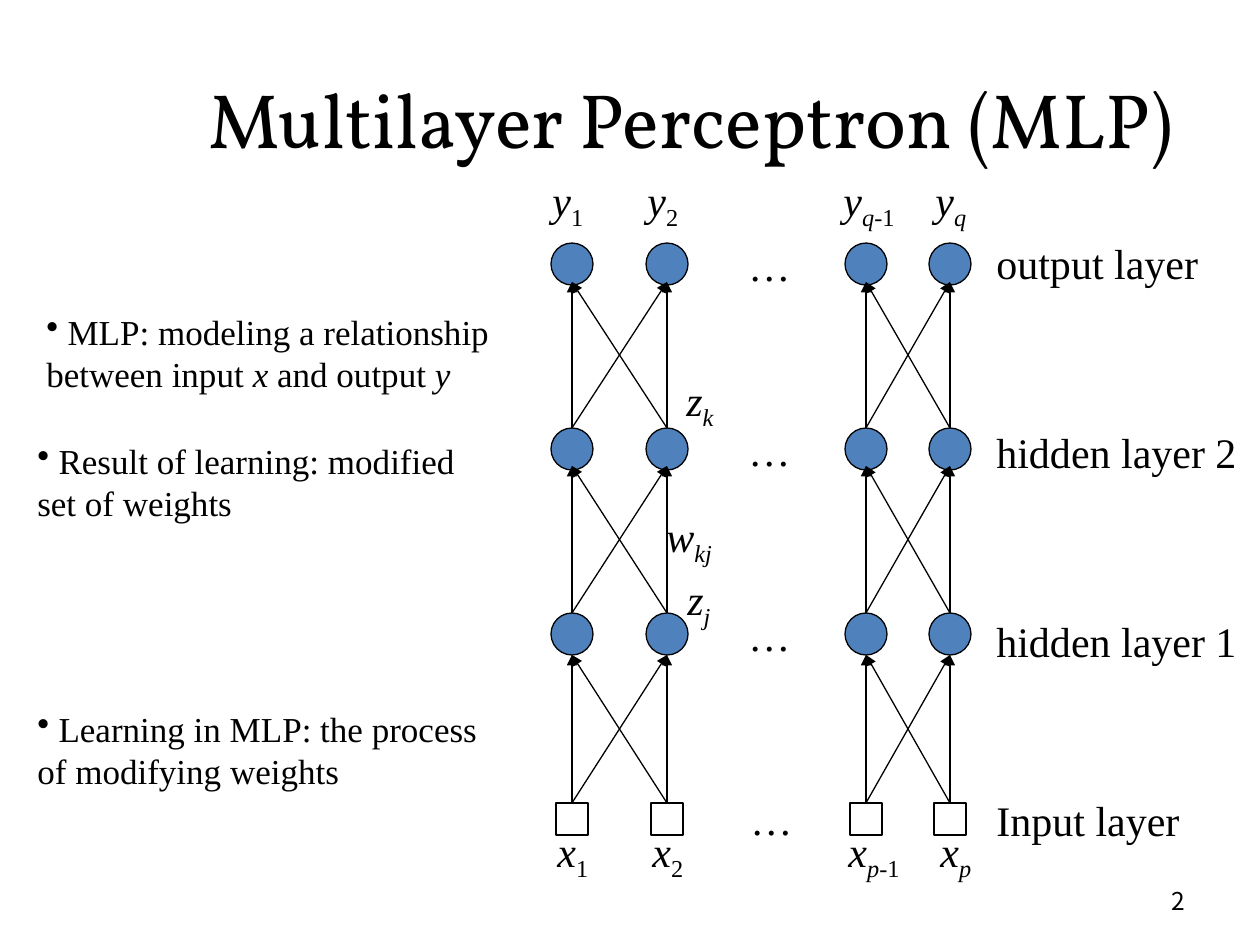
from lxml import etree
from pptx import Presentation
from pptx.dml.color import RGBColor
from pptx.enum.shapes import MSO_CONNECTOR, MSO_SHAPE
from pptx.enum.text import MSO_ANCHOR, PP_ALIGN
from pptx.oxml.ns import qn
from pptx.util import Emu, Pt

STRAIGHT = MSO_CONNECTOR.STRAIGHT
OVAL, SQUARE = MSO_SHAPE.OVAL, MSO_SHAPE.RECTANGLE
TOP, MIDDLE = MSO_ANCHOR.TOP, MSO_ANCHOR.MIDDLE
LEFT, CENTER, RIGHT = PP_ALIGN.LEFT, PP_ALIGN.CENTER, PP_ALIGN.RIGHT

COLORS = {"ink": "000000", "neuron": "4F81BD"}
SERIF = "Times New Roman"
PIXEL = 914400 / 126
LABEL_HEIGHT = 63
COLUMNS = (0, 95, 294, 378)
PAIRS = (COLUMNS[:2], COLUMNS[2:])
NEURON_SIZE, INPUT_SIZE = 42, 32
LAYER_PITCH = 185
NEURON_ROWS = (0, LAYER_PITCH, 2 * LAYER_PITCH)
INPUT_ROW = 560


def px(length):
    """Convert pixels to EMU."""
    return Emu(round(length * PIXEL))


def color(name):
    """Return a named colour."""
    return RGBColor.from_string(COLORS[name])


def add_text(slide, box, runs, size=24, font=SERIF, align=LEFT, anchor=TOP, wrap=False, bullet=False):
    """Add a text box of (text, style) runs, where style holds i for italic and s for subscript."""
    shape = slide.shapes.add_textbox(*map(px, box))
    frame = shape.text_frame
    frame.word_wrap = wrap
    frame.vertical_anchor = anchor
    paragraph = frame.paragraphs[0]
    paragraph.alignment = align
    if bullet:
        properties = paragraph._p.get_or_add_pPr()
        etree.SubElement(properties, qn("a:buChar")).set("char", "•")
    paragraph.font.size = Pt(size)
    paragraph.font.name = font
    paragraph.font.color.rgb = color("ink")
    for text, style in runs:
        run = paragraph.add_run()
        run.text = text
        if "i" in style:
            run.font.italic = True
        if "s" in style:
            run.font._element.set("baseline", "-25000")


def add_node(slide, kind, center, top, size, fill=None):
    """Add one outlined unit of the network."""
    shape = slide.shapes.add_shape(kind, px(center - size / 2), px(top), px(size), px(size))
    shape.shadow.inherit = False
    shape.line.color.rgb = color("ink")
    shape.line.width = Pt(0.75)
    if fill:
        shape.fill.solid()
        shape.fill.fore_color.rgb = color(fill)
    else:
        shape.fill.background()
    return shape


def add_arrow(slide, source, start, end):
    """Add an arrow from the top of a unit to a point in the layer above."""
    connector = slide.shapes.add_connector(STRAIGHT, *map(px, start + end))
    connector.begin_connect(source, 0)
    connector.line.color.rgb = color("ink")
    connector.line.width = Pt(0.75)
    line = connector.line._get_or_add_ln()
    etree.SubElement(line, qn("a:tailEnd")).set("type", "triangle")
    etree.SubElement(connector._element.spPr, qn("a:effectLst"))


def add_network(slide, left, top):
    """Draw the layers and weights from the centre of the first column and top of the output row."""
    nodes = {}
    for row in NEURON_ROWS:
        for column in COLUMNS:
            nodes[column, row] = add_node(slide, OVAL, left + column, top + row, NEURON_SIZE, "neuron")
    for column in COLUMNS:
        nodes[column, INPUT_ROW] = add_node(slide, SQUARE, left + column, top + INPUT_ROW, INPUT_SIZE)
    arrow_rows = ((INPUT_ROW, 412), (NEURON_ROWS[2], 223), (NEURON_ROWS[1], 39))
    for start_row, end_row in arrow_rows:
        for pair in PAIRS:
            for start in pair:
                for end in pair:
                    add_arrow(slide, nodes[start, start_row],
                              (left + start, top + start_row), (left + end, top + end_row))
    for x, y in ((164, -10), (164, 175), (164, 360), (166, 544)):
        add_text(slide, (left + x, top + y, 67, LABEL_HEIGHT), [("…", "")])


def add_layer_names(slide, left, top):
    """Name each layer down the right side."""
    names = (("output layer", 0, 227), ("hidden layer 2", 189, 266),
             ("hidden layer 1", 378, 266), ("Input layer", 557, 208))
    for name, y, width in names:
        add_text(slide, (left, top + y, width, LABEL_HEIGHT), [(name, "")])


def add_variables(slide, left, top):
    """Label the outputs, inputs, hidden values and weight."""
    for letter, last, shift, y in (("y", "q", 0, 0), ("x", "p", 5, 651)):
        subscripts = ([("1", "s")], [("2", "s")], [(last, "is"), ("-1", "s")], [(last, "is")])
        for x, width, subscript in zip((0, 95, 291, 383), (58, 58, 82, 58), subscripts):
            add_text(slide, (left + x + shift, top + y, width, LABEL_HEIGHT), [(letter, "i")] + subscript)
    for letter, subscript, x, y, width in (
            ("z", "k", 134, 200, 54), ("w", "kj", 114, 336, 74), ("z", "j", 135, 399, 49)):
        add_text(slide, (left + x, top + y, width, LABEL_HEIGHT), [(letter, "i"), (subscript, "is")])


def add_notes(slide, left, top):
    """Add the three bulleted statements on the left side."""
    statements = (
        (9, 0, [(" MLP: modeling a relationship between input ", ""), ("x", "i"),
                (" and output ", ""), ("y", "i")]),
        (0, 129, [(" Result of learning: modified set of weights", "")]),
        (0, 397, [(" Learning in MLP: the process of modifying weights", "")]),
    )
    for x, y, runs in statements:
        add_text(slide, (left + x, top + y, 476, 97), runs, size=20, wrap=True, bullet=True)


def main():
    """Build and save the slide."""
    presentation = Presentation()
    presentation.slide_width, presentation.slide_height = px(1260), px(945)
    slide = presentation.slides.add_slide(presentation.slide_layouts[6])
    add_text(slide, (154, 55, 1074, 126), [("Multilayer Perceptron (MLP)", "")],
             size=44, font="Vollkorn", align=CENTER, anchor=MIDDLE, wrap=True)
    add_network(slide, 572, 243)
    add_layer_names(slide, 984, 231)
    add_variables(slide, 540, 168)
    add_notes(slide, 25, 304)
    add_text(slide, (903, 876, 294, 50), [("2", "")], size=14,
             font="Noto Sans CJK KR", align=RIGHT, anchor=MIDDLE, wrap=True)
    presentation.save("out.pptx")


if __name__ == "__main__":
    main()
